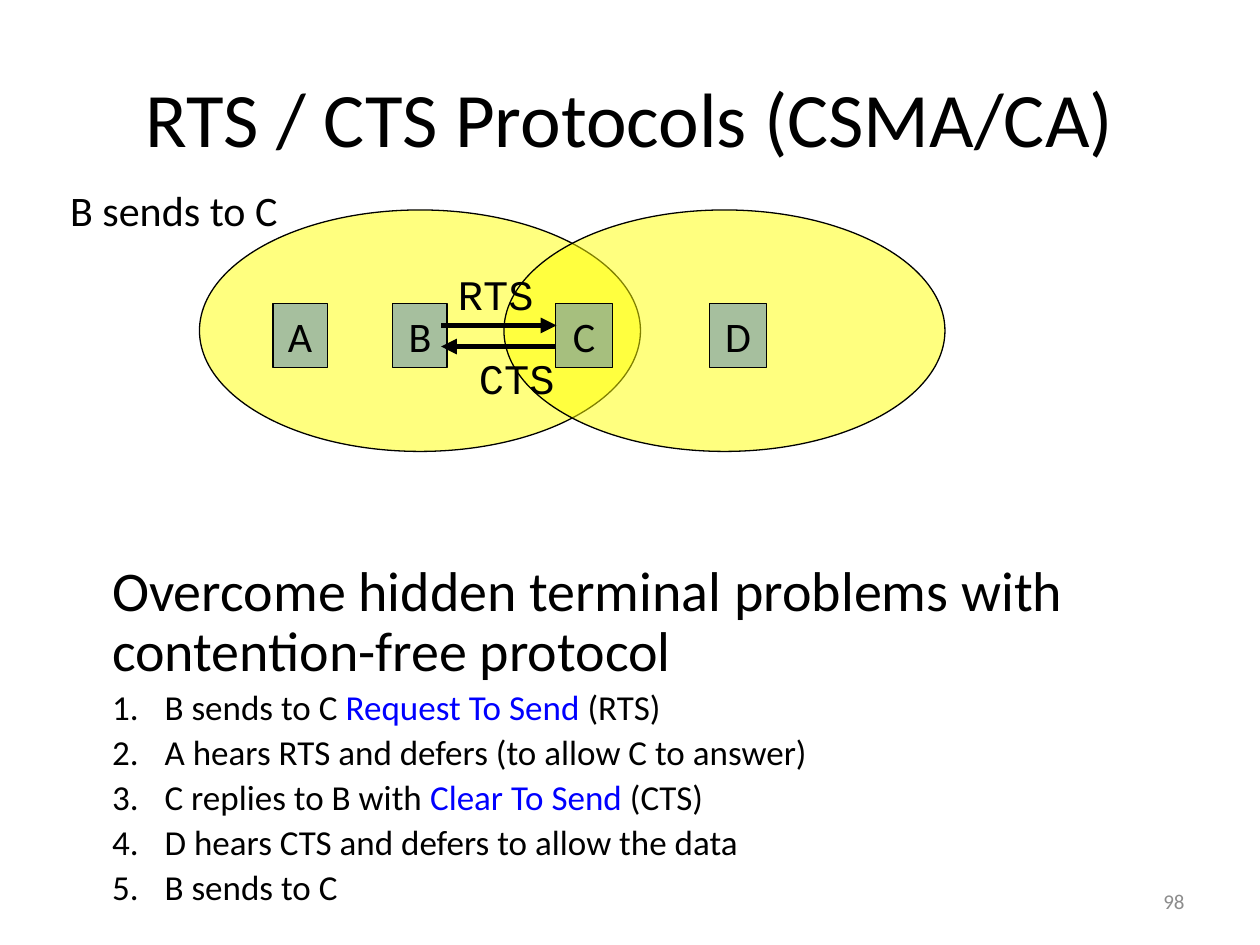
from lxml.etree import SubElement
from pptx import Presentation
from pptx.dml.color import RGBColor
from pptx.enum.shapes import MSO_CONNECTOR, MSO_SHAPE
from pptx.enum.text import MSO_ANCHOR, PP_ALIGN
from pptx.oxml.ns import qn
from pptx.util import Pt

# Content: places are (left, top, width, height) in points
TITLE = "RTS / CTS Protocols (CSMA/CA)"
SCENARIO = "B sends to C"
PAGE_NUMBER = "98"
HEADLINE = "Overcome hidden terminal problems with contention-free protocol"
# Each step is a list of (text, colour) runs
BLACK, BLUE, YELLOW, STEEL, GREY = "000000", "0000FF", "FFFF00", "4F81BD", "8C8C8C"
STEPS = [
    [("B sends to C ", BLACK), ("Request To Send", BLUE), (" (RTS)", BLACK)],
    [("A hears RTS and defers (to allow C to answer)", BLACK)],
    [("C replies to B with ", BLACK), ("Clear To Send", BLUE), (" (CTS)", BLACK)],
    [("D hears CTS and defers to allow the data", BLACK)],
    [("B sends to C", BLACK)],
]
RANGE_LEFTS = [114, 288]
STATIONS = [("A", 156, 31), ("B", 224.5, 31), ("C", 317.5, 32.5), ("D", 405.5, 32.5)]
# Label, label left, label top, arrow start x, arrow end x, arrow y
MESSAGES = [
    ("RTS", 252, 150, 252, 318, 186),
    ("CTS", 264, 198, 318, 252, 198),
]


def colour(hex_string):
    return RGBColor.from_string(hex_string)


def set_font(font, size, hex_string=BLACK, name="Calibri"):
    font.size, font.name = Pt(size), name
    font.color.rgb = colour(hex_string)


def write(frame, text, size, align, anchor=MSO_ANCHOR.TOP, **font):
    frame.word_wrap = True
    frame.vertical_anchor = anchor
    paragraph = frame.paragraphs[0]
    paragraph.text = text
    paragraph.alignment = align
    set_font(paragraph.font, size, **font)


def add_text(place, *args, **options):
    box = slide.shapes.add_textbox(*map(Pt, place))
    write(box.text_frame, *args, **options)


def add_half_clear(kind, place, fill):
    shape = slide.shapes.add_shape(kind, *map(Pt, place))
    shape.shadow.inherit = False
    shape.fill.solid()
    shape.fill.fore_color.rgb = colour(fill)
    tint = shape.fill._xPr.find(qn("a:solidFill"))[0]
    SubElement(tint, qn("a:alpha"), val="50000")
    shape.line.color.rgb = colour(BLACK)
    shape.line.width = Pt(0.75)
    return shape


def add_arrow(x1, x2, y):
    arrow = slide.shapes.add_connector(
        MSO_CONNECTOR.STRAIGHT, Pt(x1), Pt(y), Pt(x2), Pt(y))
    arrow.line.color.rgb = colour(BLACK)
    arrow.line.width = Pt(3)
    SubElement(arrow.line._get_or_add_ln(), qn("a:tailEnd"), type="triangle")
    SubElement(arrow._element.spPr, qn("a:effectLst"))


def indent(paragraph, margin, first_line, space_before):
    paragraph.line_spacing = 0.9
    paragraph.space_before = Pt(space_before)
    properties = paragraph._p.get_or_add_pPr()
    properties.set("marL", str(Pt(margin)))
    properties.set("indent", str(Pt(first_line)))
    return properties


presentation = Presentation()
presentation.slide_width, presentation.slide_height = Pt(720), Pt(540)
slide = presentation.slides.add_slide(presentation.slide_layouts[6])

# Title and scenario
add_text((36, 21.6, 648, 90), TITLE, 44, PP_ALIGN.CENTER, MSO_ANCHOR.MIDDLE)

# Radio ranges
for left in RANGE_LEFTS:
    add_half_clear(MSO_SHAPE.OVAL, (left, 120, 252, 138), YELLOW)

# Stations
for name, left, width in STATIONS:
    station = add_half_clear(MSO_SHAPE.RECTANGLE, (left, 173.5, width, 36.5), STEEL)
    frame = station.text_frame
    frame.margin_left = frame.margin_right = 0
    write(frame, name, 24, PP_ALIGN.CENTER, MSO_ANCHOR.MIDDLE)

# Messages between B and C
for label, left, top, start, end, y in MESSAGES:
    add_arrow(start, end, y)
    add_text((left, top, 62.5, 36), label, 24, PP_ALIGN.CENTER, name="Courier New")

add_text((33, 102, 161, 36), SCENARIO, 24, PP_ALIGN.LEFT)

# Explanation with numbered steps
explanation = slide.shapes.add_textbox(Pt(21), Pt(318), Pt(678), Pt(222)).text_frame
write(explanation, HEADLINE, 32, PP_ALIGN.LEFT)
indent(explanation.paragraphs[0], 36, 0, 0)
for step in STEPS:
    paragraph = explanation.add_paragraph()
    paragraph.level = 1
    properties = indent(paragraph, 66, -30, 4)
    SubElement(properties, qn("a:buFont"), typeface="+mj-lt")
    SubElement(properties, qn("a:buAutoNum"), type="arabicPeriod")
    for text, hex_string in step:
        run = paragraph.add_run()
        run.text = text
        set_font(run.font, 20, hex_string)

# Page number
add_text((516, 500.5, 168, 28.5), PAGE_NUMBER, 12, PP_ALIGN.RIGHT,
         MSO_ANCHOR.MIDDLE, hex_string=GREY)

presentation.save("out.pptx")
